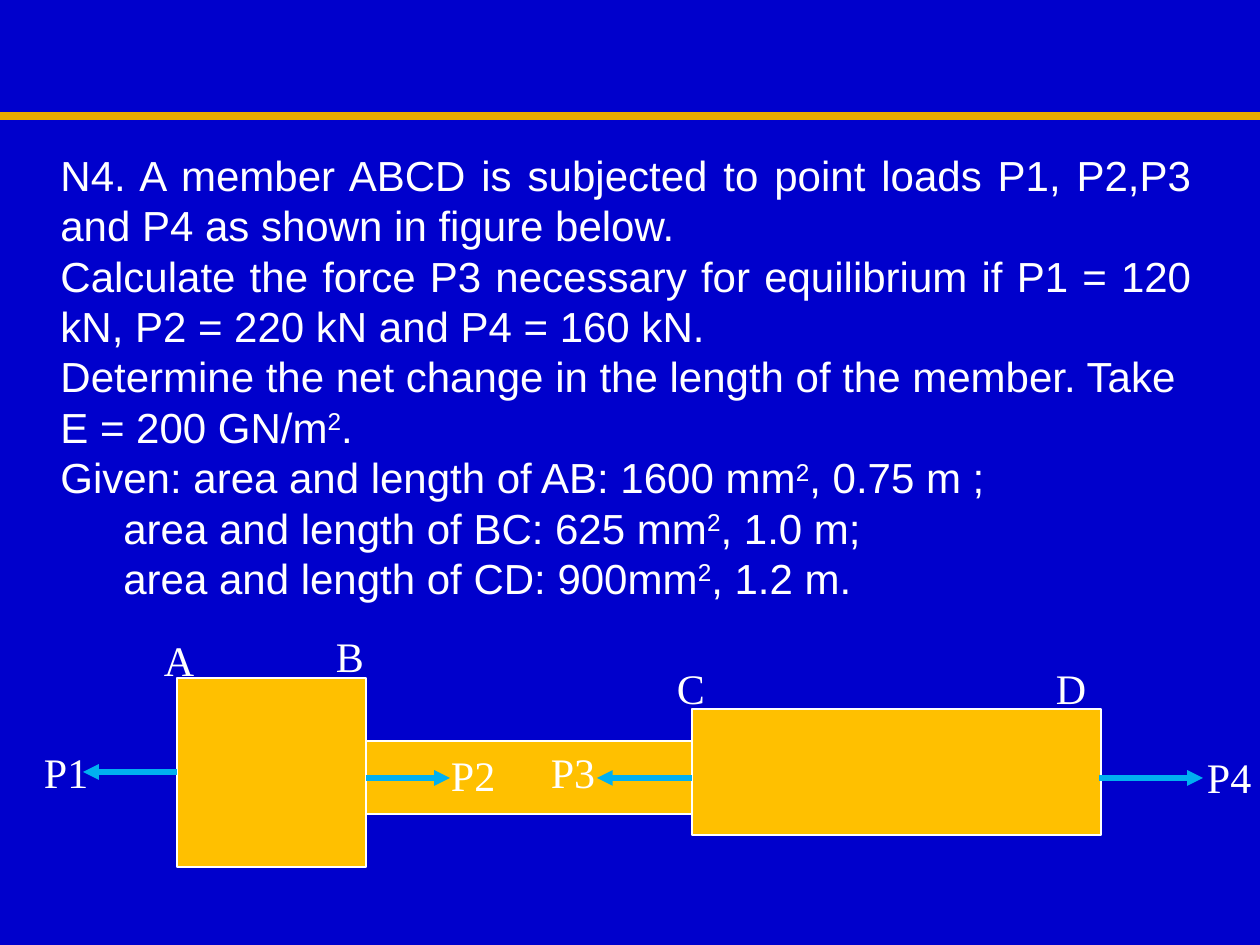
from pptx import Presentation
from pptx.dml.color import RGBColor as Rgb
from pptx.enum.shapes import MSO_CONNECTOR as Link, MSO_SHAPE as Shape
from pptx.enum.text import PP_ALIGN as Align
from pptx.oxml.ns import qn
from pptx.util import Pt
from lxml.etree import SubElement

# Content
PROBLEM = [
    ("N4. A member ABCD is subjected to point loads P1, P2,P3 and P4 "
     "as shown in figure below.", Align.JUSTIFY),
    ("Calculate the force P3 necessary for equilibrium if P1 = 120 kN, "
     "P2 = 220 kN and P4 = 160 kN.", Align.JUSTIFY),
    ("Determine the net change in the length of the member. "
     "Take E = 200 GN/m².", Align.LEFT),
    ("Given: area and length of AB: 1600 mm², 0.75 m ;", Align.LEFT),
    ("\tarea and length of BC: 625 mm², 1.0 m;", Align.LEFT),
    ("\tarea and length of CD: 900mm², 1.2 m.", Align.LEFT),
]
MEMBER_LEFT = 177
SEGMENTS = [(189, 678, 189), (326, 741, 73), (409, 709, 126)]  # width, top, height
LOADS = [(177, 83, 772), (692, 597, 778), (1099, 1203, 778), (366, 450, 778)]  # from x, to x, y
LABELS = {
    "A": (164, 635), "B": (336, 631), "C": (677, 663), "D": (1056, 663),
    "P1": (44, 747), "P2": (451, 750), "P3": (551, 747), "P4": (1207, 752),
}
LABEL_SIZE = (52, 51)

THEME = {
    "background": Rgb.from_string("0000CC"),
    "rule": Rgb.from_string("E8AB00"),
    "member": Rgb.from_string("FFC000"),
    "load": Rgb.from_string("00B0F0"),
    "text": Rgb.from_string("FFFFFF"),
    "size": Pt(24),
    "body_font": "Arial",
    "label_font": "Times New Roman",
}
SCALE = 914400 / 126


def px(*lengths):
    return [round(length * SCALE) for length in lengths]


def format_font(font, name):
    formats = {"name": name, "size": THEME["size"]}
    for attribute, value in formats.items():
        setattr(font, attribute, value)
    font.color.rgb = THEME["text"]


def add_text(slide, box, name, paragraphs, inset=(0, 0)):
    frame = slide.shapes.add_textbox(*px(*box)).text_frame
    frame.word_wrap = True
    across, down = px(*inset)
    margins = {"margin_left": across, "margin_right": across,
               "margin_top": down, "margin_bottom": down}
    for attribute, value in margins.items():
        setattr(frame, attribute, value)
    for index, (text, alignment) in enumerate(paragraphs):
        paragraph = frame.add_paragraph() if index else frame.paragraphs[0]
        paragraph.alignment = alignment
        for part in text.replace("²", "|²|").split("|"):
            run = paragraph.add_run()
            run.text = part.replace("²", "2")
            format_font(run.font, name)
            if part == "²":
                run._r.get_or_add_rPr().set("baseline", "30000")


def add_line(slide, start, end, color, width, arrow=False):
    connector = slide.shapes.add_connector(Link.STRAIGHT, *px(*start, *end))
    connector.line.color.rgb = color
    connector.line.width = Pt(width)
    if arrow:
        SubElement(connector.get_or_add_ln(), qn("a:tailEnd"), type="triangle")
    SubElement(connector._element.spPr, qn("a:effectLst"))


def add_segment(slide, box):
    segment = slide.shapes.add_shape(Shape.RECTANGLE, *px(*box))
    segment.shadow.inherit = False
    segment.fill.solid()
    segment.fill.fore_color.rgb = THEME["member"]
    segment.line.color.rgb = THEME["text"]
    segment.line.width = Pt(0.75)


def main():
    deck = Presentation()
    deck.slide_width, deck.slide_height = px(1260, 945)
    slide = deck.slides.add_slide(deck.slide_layouts[6])
    slide.background.fill.solid()
    slide.background.fill.fore_color.rgb = THEME["background"]

    # Header rule and problem statement
    add_line(slide, (0, 116), (1260, 116), THEME["rule"], 4.5)
    add_text(slide, (48, 143, 1156, 471), THEME["body_font"], PROBLEM, (12.6, 6.3))

    # Stepped member, each segment starting where the last one ends
    left = MEMBER_LEFT
    for width, top, height in SEGMENTS:
        add_segment(slide, (left, top, width, height))
        left += width

    # Point loads and labels
    for start, end, y in LOADS:
        add_line(slide, (start, y), (end, y), THEME["load"], 3, arrow=True)
    for label, corner in LABELS.items():
        add_text(slide, (*corner, *LABEL_SIZE), THEME["label_font"], [(label, Align.LEFT)])

    deck.save("out.pptx")


if __name__ == "__main__":
    main()
